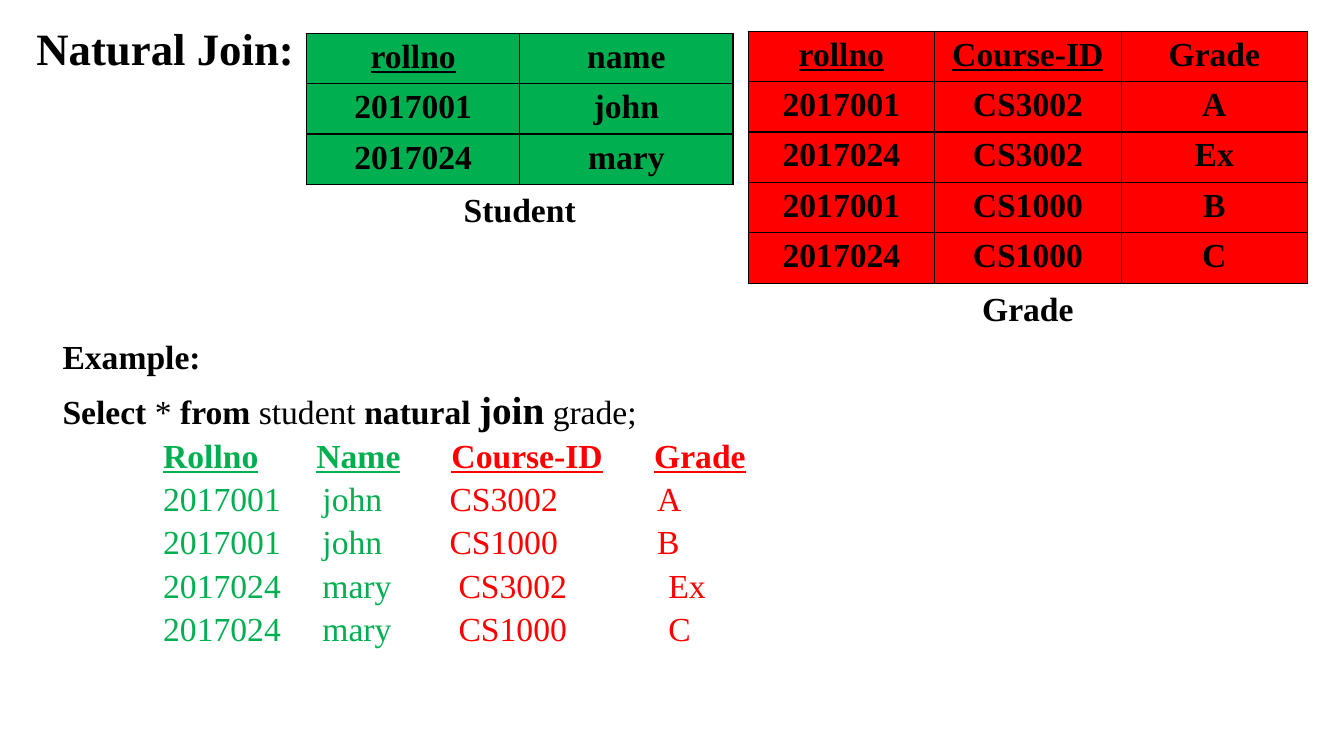
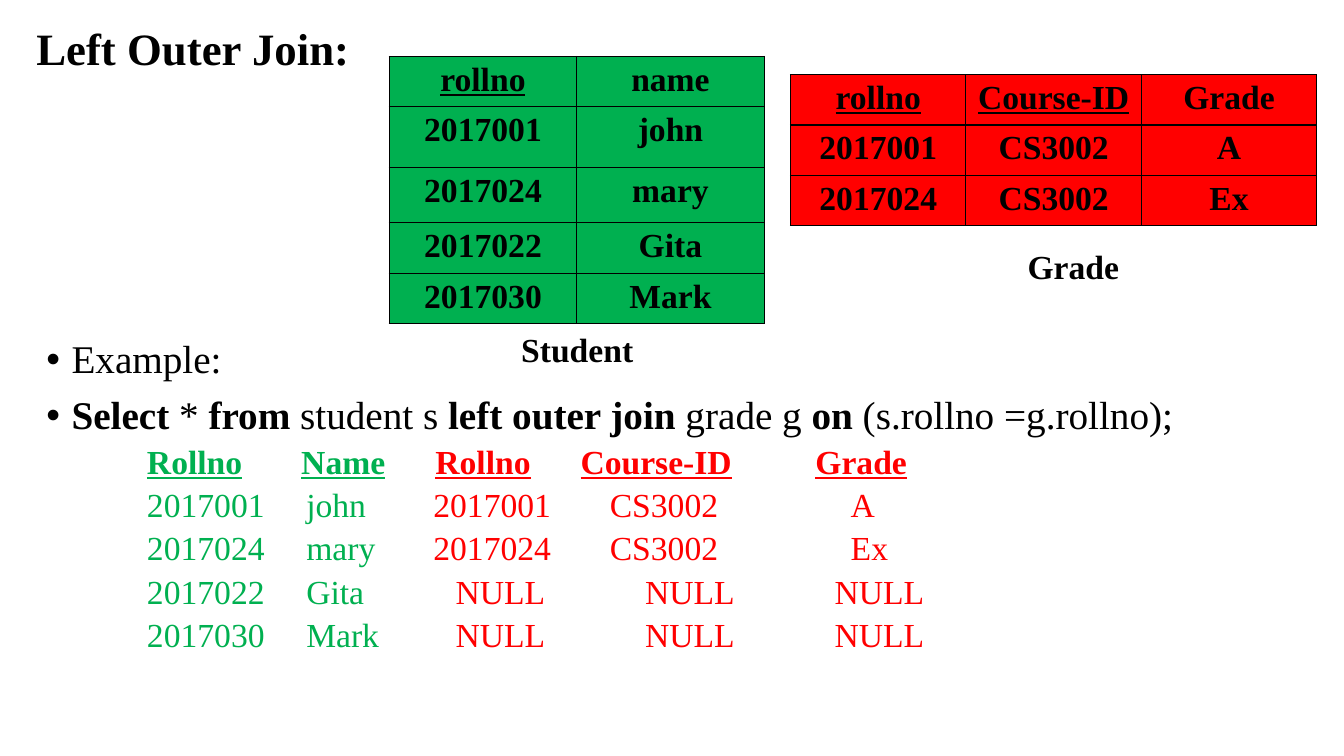
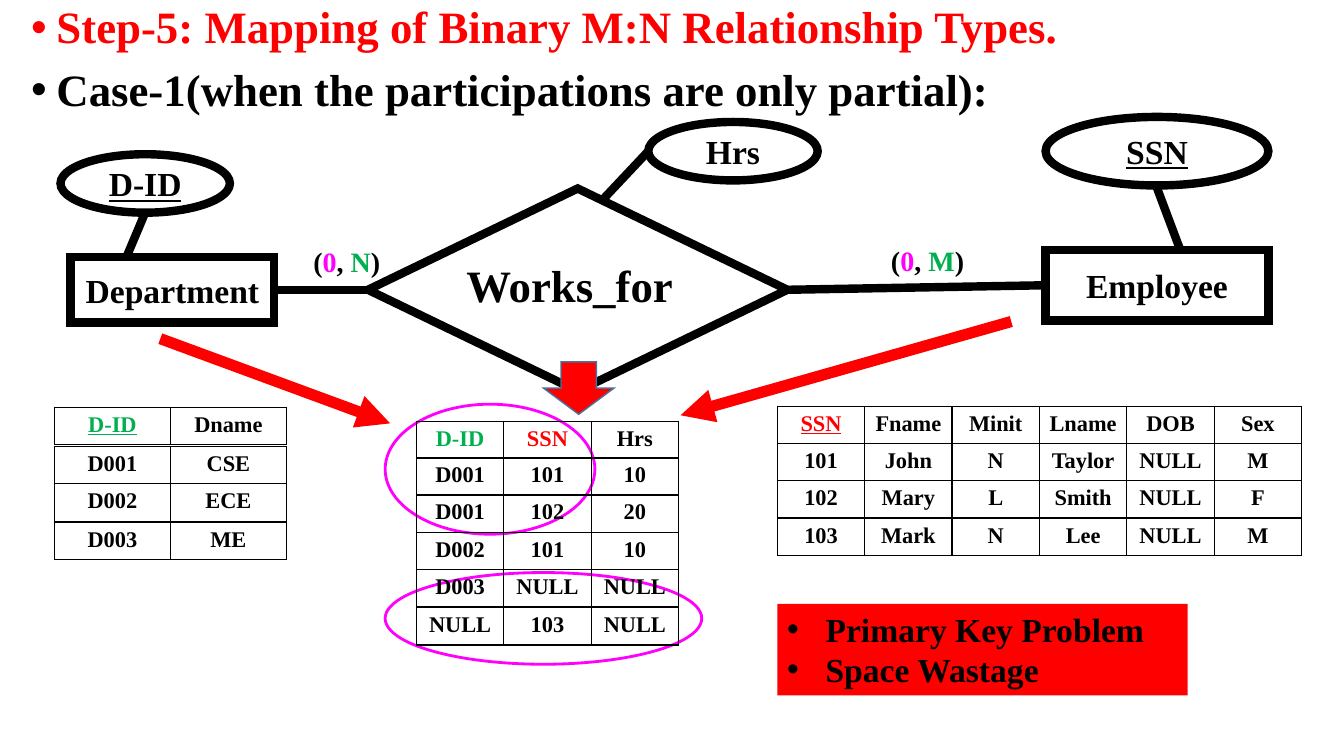
from lxml.etree import SubElement
from pptx import Presentation
from pptx.dml.color import RGBColor
from pptx.enum.shapes import MSO_CONNECTOR as Connector, MSO_SHAPE as Shape
from pptx.enum.text import MSO_ANCHOR as Anchor, MSO_AUTO_SIZE as AutoSize, PP_ALIGN as Align
from pptx.oxml.ns import qn
from pptx.util import Inches, Pt

BLACK = RGBColor(0x00, 0x00, 0x00)
WHITE = RGBColor(0xFF, 0xFF, 0xFF)
GREEN = RGBColor(0x00, 0xB0, 0x50)
RED = RGBColor(0xFF, 0x00, 0x00)
MAGENTA = RGBColor(0xFF, 0x00, 0xFF)
STEEL = RGBColor(0x43, 0x73, 0x9E)
FONT = "Times New Roman"

# Run formats
PLAIN = {"bold": False}
BOLD = {"bold": True}
KEY = {"underline": True}
HEAD = {"bold": True, "underline": True}


def write(frame, paragraphs, size=24, align=Align.LEFT, anchor=Anchor.TOP, spacing=1.0):
    """Fill a frame with (runs, layout) paragraphs; layout may hold hang, tabs and before."""
    frame.word_wrap = True
    frame.auto_size = AutoSize.NONE
    frame.vertical_anchor = anchor
    for index, (runs, layout) in enumerate(paragraphs):
        paragraph = frame.paragraphs[0] if index == 0 else frame.add_paragraph()
        properties = paragraph._p.get_or_add_pPr()
        if "tabs" in layout:
            # An explicit indent would reset the tab stops
            tab_list = SubElement(properties, qn("a:tabLst"))
            for position in layout["tabs"]:
                SubElement(tab_list, qn("a:tab"), pos=str(Inches(position)), algn="l")
        else:
            hang = Inches(layout.get("hang", 0))
            properties.set("marL", str(hang))
            properties.set("indent", str(-hang))
            if hang:
                SubElement(properties, qn("a:buFont"), typeface="Arial")
                SubElement(properties, qn("a:buChar"), char="•")
            else:
                SubElement(properties, qn("a:buNone"))
        paragraph.alignment = align
        paragraph.line_spacing = spacing
        paragraph.space_before = Pt(layout.get("before", 0) if index else 0)
        for text, changes in runs:
            run = paragraph.add_run()
            run.text = text
            style = {"name": FONT, "size": size, "bold": True, "color": BLACK, **changes}
            run.font.color.rgb = style.pop("color")
            style["size"] = Pt(style["size"])
            for name, value in style.items():
                setattr(run.font, name, value)


def add_grid(slide, left, top, width, heights, rows, size, fill, formats):
    """Add a ruled table; formats maps header texts to run formats."""
    shape = slide.shapes.add_table(len(rows), len(rows[0]), Inches(left), Inches(top),
                                   Inches(width), Inches(sum(heights)))
    table = shape.table
    table.first_row = table.horz_banding = False
    for column in table.columns:
        column.width = Inches(width / len(rows[0]))
    for row_index, (height, values) in enumerate(zip(heights, rows)):
        table.rows[row_index].height = Inches(height)
        for column_index, value in enumerate(values):
            cell = table.cell(row_index, column_index)
            write(cell.text_frame, [([(value, formats.get(value, BOLD))], {})],
                  size, Align.CENTER)
            properties = cell._tc.get_or_add_tcPr()
            for side in ("a:lnL", "a:lnR", "a:lnT", "a:lnB"):
                border = SubElement(properties, qn(side), w=str(Pt(1)))
                solid = SubElement(border, qn("a:solidFill"))
                SubElement(solid, qn("a:srgbClr"), val=str(BLACK))
            if fill is None:
                cell.fill.background()
            else:
                cell.fill.solid()
                cell.fill.fore_color.rgb = fill


presentation = Presentation()
presentation.slide_width = Inches(13.33)
presentation.slide_height = Inches(7.5)
layout = presentation.slide_layouts[1]

# Join slides: title, query with its result, source tables and their captions
GRADES = [["rollno", "Course-ID", "Grade"], ["2017001", "CS3002", "A"],
          ["2017024", "CS3002", "Ex"]]
STUDENTS = [["rollno", "name"], ["2017001", "john"], ["2017024", "mary"]]
NATURAL_JOHN, NATURAL_MARY = [1.58, 2.84, 4.9], [1.58, 2.93, 5.01]
OUTER_MATCH, OUTER_NULL = [1.58, 2.84, 4.59, 6.98], [1.58, 3.06, 4.94, 6.82]
ITEM = {"before": 10}
BULLET = {"before": 10, "hang": 0.25}

joins = [
    {
        "title": "Natural Join:", "title_width": 2.99,
        "left": 0.52, "query_top": 3.33, "result_top": 4.31, "size": 24,
        "query": [
            ([("Example:", BOLD)], ITEM),
            ([("Select", BOLD), (" * ", PLAIN), ("from", BOLD), (" student ", PLAIN),
              ("natural ", BOLD), ("join", {"size": 28}), (" grade;", PLAIN)], ITEM),
        ],
        "result": [
            ([1.52, 2.86, 4.87], ["Rollno", "Name", "Course-ID", "Grade"]),
            (NATURAL_JOHN, ["2017001", "john", "CS3002", "A"]),
            (NATURAL_JOHN, ["2017001", "john", "CS1000", "B"]),
            (NATURAL_MARY, ["2017024", "mary", "CS3002", "Ex"]),
            (NATURAL_MARY, ["2017024", "mary", "CS1000", "C"]),
        ],
        "tables": [
            (3.04, 0.33, 4.23, [0.5] * 3, STUDENTS, GREEN),
            (7.42, 0.31, 5.55, [0.5] * 5,
             GRADES + [["2017001", "CS1000", "B"], ["2017024", "CS1000", "C"]], RED),
        ],
        "captions": [("Student", 3.87, 1.83), ("Grade", 8.91, 2.81)],
    },
    {
        "title": "Left Outer Join:", "title_width": 5.46,
        "left": 0.36, "query_top": 3.32, "result_top": 4.37, "size": 28,
        "query": [
            ([("Example:", PLAIN)], BULLET),
            ([("Select", BOLD), (" * ", PLAIN), ("from", BOLD), (" student s ", PLAIN),
              ("left outer join", BOLD), (" grade g ", PLAIN), ("on", BOLD),
              (" (s.rollno =g.rollno);", PLAIN)], BULLET),
        ],
        "result": [
            ([1.53, 2.86, 4.3, 6.63], ["Rollno", "Name", "Rollno", "Course-ID", "Grade"]),
            (OUTER_MATCH, ["2017001", "john", "2017001", "CS3002", "A"]),
            (OUTER_MATCH, ["2017024", "mary", "2017024", "CS3002", "Ex"]),
            (OUTER_NULL, ["2017022", "Gita", "NULL", "NULL", "NULL"]),
            (OUTER_NULL, ["2017030", "Mark", "NULL", "NULL", "NULL"]),
        ],
        "tables": [
            (3.86, 0.56, 3.72, [0.5, 0.6, 0.55, 0.5, 0.5],
             STUDENTS + [["2017022", "Gita"], ["2017030", "Mark"]], GREEN),
            (7.84, 0.74, 5.22, [0.5] * 3, GRADES, RED),
        ],
        "captions": [("Student", 4.44, 3.21), ("Grade", 9.36, 2.39)],
    },
]

for join in joins:
    slide = presentation.slides.add_slide(layout)
    title, body = slide.placeholders
    title.left, title.top = Inches(0.26), Inches(0.22)
    title.width, title.height = Inches(join["title_width"]), Inches(0.77)
    write(title.text_frame, [([(join["title"], BOLD)], {})], 32, spacing=0.9)

    body.left, body.top = Inches(join["left"]), Inches(join["query_top"])
    body.width, body.height = Inches(12.7), Inches(1)
    write(body.text_frame, join["query"], join["size"], spacing=0.9)

    # Result rows, student columns green and grade columns red
    paragraphs = []
    for index, (tabs, values) in enumerate(join["result"]):
        style = PLAIN if index else HEAD
        runs = [("\t".join(values[:2]) + "\t", {"color": GREEN, **style}),
                ("\t".join(values[2:]), {"color": RED, **style})]
        paragraphs.append((runs, {"before": 5, "tabs": tabs}))
    box = slide.shapes.add_textbox(Inches(join["left"] + 1), Inches(join["result_top"]),
                                   Inches(11.7), Inches(2.4))
    write(box.text_frame, paragraphs, spacing=0.9)

    for left, top, width, heights, rows, fill in join["tables"]:
        add_grid(slide, left, top, width, heights, rows, 24, fill,
                 {"rollno": KEY, "Course-ID": KEY})
    for caption, left, top in join["captions"]:
        box = slide.shapes.add_textbox(Inches(left), Inches(top), Inches(2.57), Inches(0.5))
        write(box.text_frame, [([(caption, BOLD)], {})], 24, Align.CENTER)

# Mapping slide: headings
slide = presentation.slides.add_slide(layout)
headings = [("Step-5: Mapping of Binary M:N Relationship Types.", RED, 0),
            ("Case-1(when the participations are only partial):", BLACK, 0.62)]
for placeholder, (text, color, top) in zip(slide.placeholders, headings):
    placeholder.left, placeholder.top = Inches(0.21), Inches(top)
    placeholder.width, placeholder.height = Inches(12.7), Inches(0.6)
    write(placeholder.text_frame, [([(text, {"color": color})], {"hang": 0.25})], 32, spacing=0.9)

# Shapes of the diagram: key, preset, place, fill, line colour, line width, text format
figures = {}
for key, preset, place, fill, line, weight, changes in [
    ("Department", Shape.RECTANGLE, (0.7, 2.55, 2.02, 0.65), WHITE, BLACK, 6, BOLD),
    ("D-ID", Shape.OVAL, (0.6, 1.53, 1.68, 0.58), WHITE, BLACK, 6, KEY),
    ("Employee", Shape.RECTANGLE, (10.37, 2.48, 2.21, 0.7), WHITE, BLACK, 6, BOLD),
    ("SSN", Shape.OVAL, (10.37, 1.16, 2.21, 0.68), WHITE, BLACK, 6, KEY),
    ("Hrs", Shape.OVAL, (6.43, 1.21, 1.68, 0.58), WHITE, BLACK, 6, BOLD),
    ("Relationship", Shape.DIAMOND, (3.65, 1.87, 4.16, 2.01), None, BLACK, 6, None),
    ("Key ring", Shape.OVAL, (3.82, 4.01, 2.08, 1.29), None, MAGENTA, 2, None),
    ("Null ring", Shape.OVAL, (3.82, 5.68, 3.14, 0.91), None, MAGENTA, 2, None),
    ("Down arrow", Shape.DOWN_ARROW, (5.39, 3.59, 0.7, 0.52), RED, STEEL, 1, None),
    ("Problems", Shape.RECTANGLE, (7.71, 5.99, 4.07, 0.91), RED, None, 0, None),
]:
    shape = slide.shapes.add_shape(preset, *map(Inches, place))
    shape.shadow.inherit = False
    for part, color in ((shape.fill, fill), (shape.line.fill, line)):
        if color is None:
            part.background()
        else:
            part.solid()
            part.fore_color.rgb = color
    if line is not None:
        shape.line.width = Pt(weight)
        SubElement(shape.line._get_or_add_ln(), qn("a:miter"), lim="800000")
    if changes is not None:
        write(shape.text_frame, [([(key, changes)], {})], 24, Align.CENTER, Anchor.MIDDLE)
    figures[key] = shape

problems = [([(text, BOLD)], {"hang": 0.38}) for text in ("Primary Key Problem", "Space Wastage")]
write(figures["Problems"].text_frame, problems)

# Relationship name and cardinalities
box = slide.shapes.add_textbox(Inches(4.34), Inches(2.51), Inches(2.62), Inches(0.64))
write(box.text_frame, [([("Works_for", BOLD)], {})], 32, Align.CENTER)
for letter, left, top in (("N", 2.97, 2.35), ("M", 8.73, 2.34)):
    box = slide.shapes.add_textbox(Inches(left), Inches(top), Inches(0.94), Inches(0.49))
    runs = [("(", BOLD), ("0", {"color": MAGENTA}), (", ", BOLD),
            (letter, {"color": GREEN}), (")", BOLD)]
    write(box.text_frame, [(runs, {})], 20, Align.CENTER, Anchor.MIDDLE)

# Lines and arrows: ends, colour, width, joined shapes
for ends, color, weight, joined in [
    ((1.25, 2.56, 1.44, 2.11), BLACK, 6, None),
    ((11.71, 2.49, 11.47, 1.85), BLACK, 6, None),
    ((5.96, 2, 6.43, 1.5), BLACK, 6, None),
    ((2.72, 2.88, 3.65, 2.88), BLACK, 6, ("Department", "Relationship")),
    ((7.81, 2.88, 10.37, 2.83), BLACK, 6, ("Relationship", "Employee")),
    ((10.03, 3.19, 6.75, 4.12), RED, 8, None),
    ((1.59, 3.36, 3.87, 4.2), RED, 8, None),
]:
    connector = slide.shapes.add_connector(Connector.STRAIGHT, *map(Inches, ends))
    connector.line.color.rgb = color
    connector.line.width = Pt(weight)
    if joined:
        connector.begin_connect(figures[joined[0]], 3)
        connector.end_connect(figures[joined[1]], 1)
    if color == RED:
        SubElement(connector.line._get_or_add_ln(), qn("a:tailEnd"), type="triangle")
    SubElement(connector._element.spPr, qn("a:effectLst"))

# Relations, each tuple a one-row table of its own
for left, width, tops, rows, formats in [
    (0.54, 2.3, [4.04, 4.43, 4.8, 5.18],
     [["D-ID", "Dname"], ["D001", "CSE"], ["D002", "ECE"], ["D003", "ME"]],
     {"D-ID": {"color": GREEN, "underline": True}}),
    (4.13, 2.6, [4.18, 4.54, 4.91, 5.28, 5.65, 6.03],
     [["D-ID", "SSN", "Hrs"], ["D001", "101", "10"], ["D001", "102", "20"],
      ["D002", "101", "10"], ["D003", "NULL", "NULL"], ["NULL", "103", "NULL"]],
     {"D-ID": {"color": GREEN}, "SSN": {"color": RED}}),
    (7.71, 5.2, [4.03, 4.4, 4.77, 5.14],
     [["SSN", "Fname", "Minit", "Lname", "DOB", "Sex"],
      ["101", "John", "N", "Taylor", "NULL", "M"],
      ["102", "Mary", "L", "Smith", "NULL", "F"],
      ["103", "Mark", "N", "Lee", "NULL", "M"]],
     {"SSN": {"color": RED, "underline": True}}),
]:
    for top, row in zip(tops, rows):
        add_grid(slide, left, top, width, [0.37], [row], 16, None, formats)

presentation.save("out.pptx")
